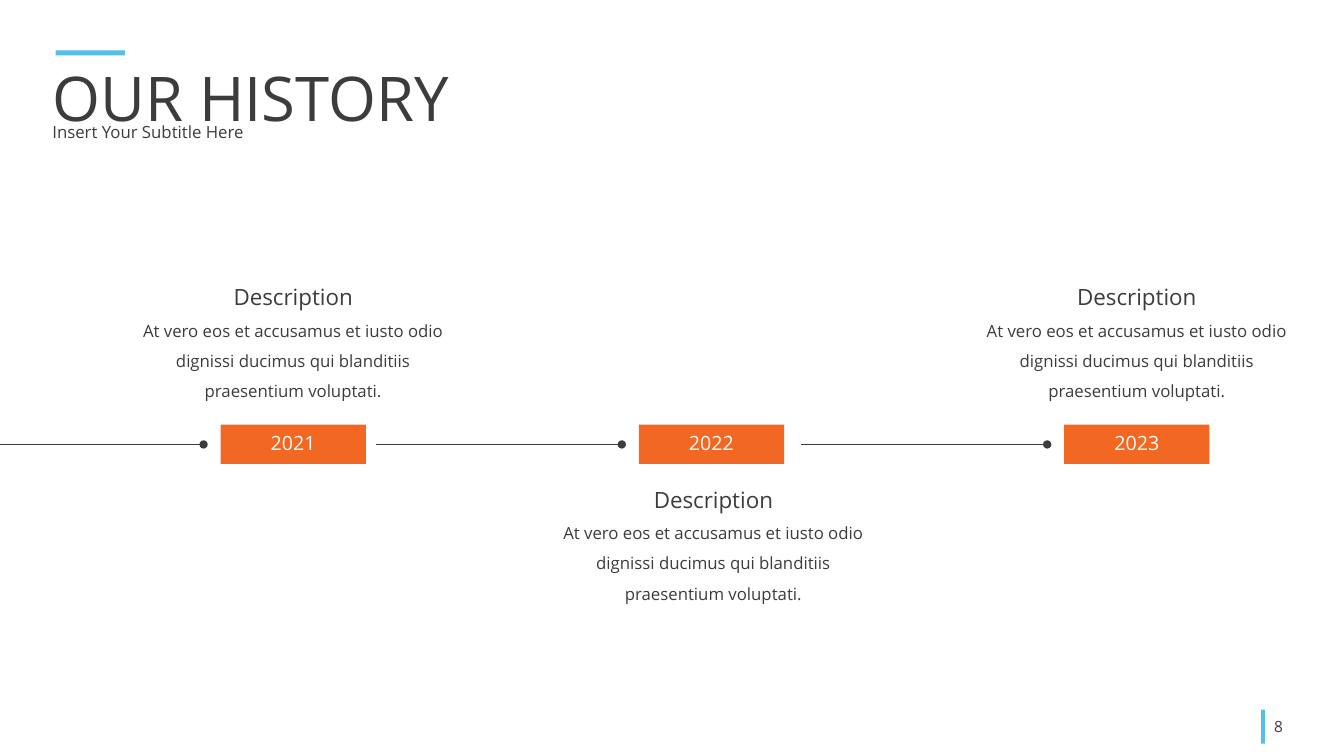
from lxml.etree import SubElement
from pptx import Presentation
from pptx.dml.color import RGBColor
from pptx.enum.shapes import MSO_CONNECTOR, MSO_SHAPE
from pptx.enum.text import MSO_ANCHOR, MSO_AUTO_SIZE, PP_ALIGN
from pptx.oxml.ns import qn
from pptx.util import Cm, Pt

INK, BLUE, ORANGE, WHITE = "3C3C3C", "56BEEC", "F26722", "FFFFFF"
FONT = "Open Sans"
BODY = ("At vero eos et accusamus et iusto odio dignissi ducimus "
        "qui blanditiis praesentium voluptati.")
EVENTS = [
    ("2021", 5.56, 0, 7.39, 7.09),
    ("2022", 16.1, 9.47, 17.98, 12.19),
    ("2023", 26.82, 20.19, 28.65, 7.09),
]


def color(text):
    return RGBColor.from_string(text)


def write(shape, text, size, tone=INK, space=0.9,
          align=PP_ALIGN.LEFT, anchor=MSO_ANCHOR.TOP):
    frame = shape.text_frame
    frame.text = text
    frame.word_wrap = True
    frame.auto_size = MSO_AUTO_SIZE.NONE
    frame.vertical_anchor = anchor
    line = frame.paragraphs[0]
    line.alignment = align
    line.line_spacing = space
    line.space_before = Pt(0)
    font = line.runs[0].font
    font.name = FONT
    font.size = Pt(size)
    font.color.rgb = color(tone)


def label(slide, box, text, size, **style):
    shape = slide.shapes.add_textbox(*map(Cm, box))
    write(shape, text, size, **style)


def block(slide, box, fill):
    shape = slide.shapes.add_shape(MSO_SHAPE.RECTANGLE, *map(Cm, box))
    shape.shadow.inherit = False
    shape.fill.solid()
    shape.fill.fore_color.rgb = color(fill)
    shape.line.fill.background()
    return shape


def header(slide, left, top, width):
    block(slide, (left + 0.33, top, 1.75, 0.13), BLUE)
    title = slide.shapes.title
    title.left, title.top = Cm(left), Cm(top + 0.13)
    title.width, title.height = Cm(width), Cm(2.13)
    write(title, "OUR HISTORY", 44, anchor=MSO_ANCHOR.BOTTOM)
    label(slide, (left, top + 1.78, width, 0.69),
          "Insert Your Subtitle Here", 12, space=0.8)


def footer(slide, left, top):
    block(slide, (left, top, 0.1, 0.86), BLUE)
    label(slide, (left + 0.08, top - 0.08, 1.22, 1.02), "8", 11,
          space=1, anchor=MSO_ANCHOR.MIDDLE)


def track(slide, start, end, top):
    line = slide.shapes.add_connector(
        MSO_CONNECTOR.STRAIGHT, Cm(start), Cm(top), Cm(end), Cm(top))
    line.line.color.rgb = color(INK)
    line.line.width = Pt(1)
    SubElement(line.line._get_or_add_ln(), qn("a:tailEnd"), type="oval")
    SubElement(line._element.spPr, qn("a:effectLst"))


def note(slide, center, top):
    label(slide, (center - 4.17, top + 0.61, 8.34, 2.49), BODY, 12,
          space=1.5, align=PP_ALIGN.CENTER)
    label(slide, (center - 2.97, top, 5.94, 0.86), "Description", 16,
          align=PP_ALIGN.CENTER)


def event(slide, year, left, start, center, top):
    track(slide, start, left - 0.43, 11.2)
    badge = block(slide, (left, 10.7, 3.66, 0.99), ORANGE)
    write(badge, year, 14, tone=WHITE, align=PP_ALIGN.CENTER,
          anchor=MSO_ANCHOR.MIDDLE)
    note(slide, center, top)


def main():
    deck = Presentation()
    deck.slide_width, deck.slide_height = Cm(33.87), Cm(19.05)
    slide = deck.slides.add_slide(deck.slide_layouts[5])
    header(slide, 1.07, 1.27, 25.4)
    footer(slide, 31.78, 17.88)
    for item in EVENTS:
        event(slide, *item)
    deck.save("out.pptx")


if __name__ == "__main__":
    main()
